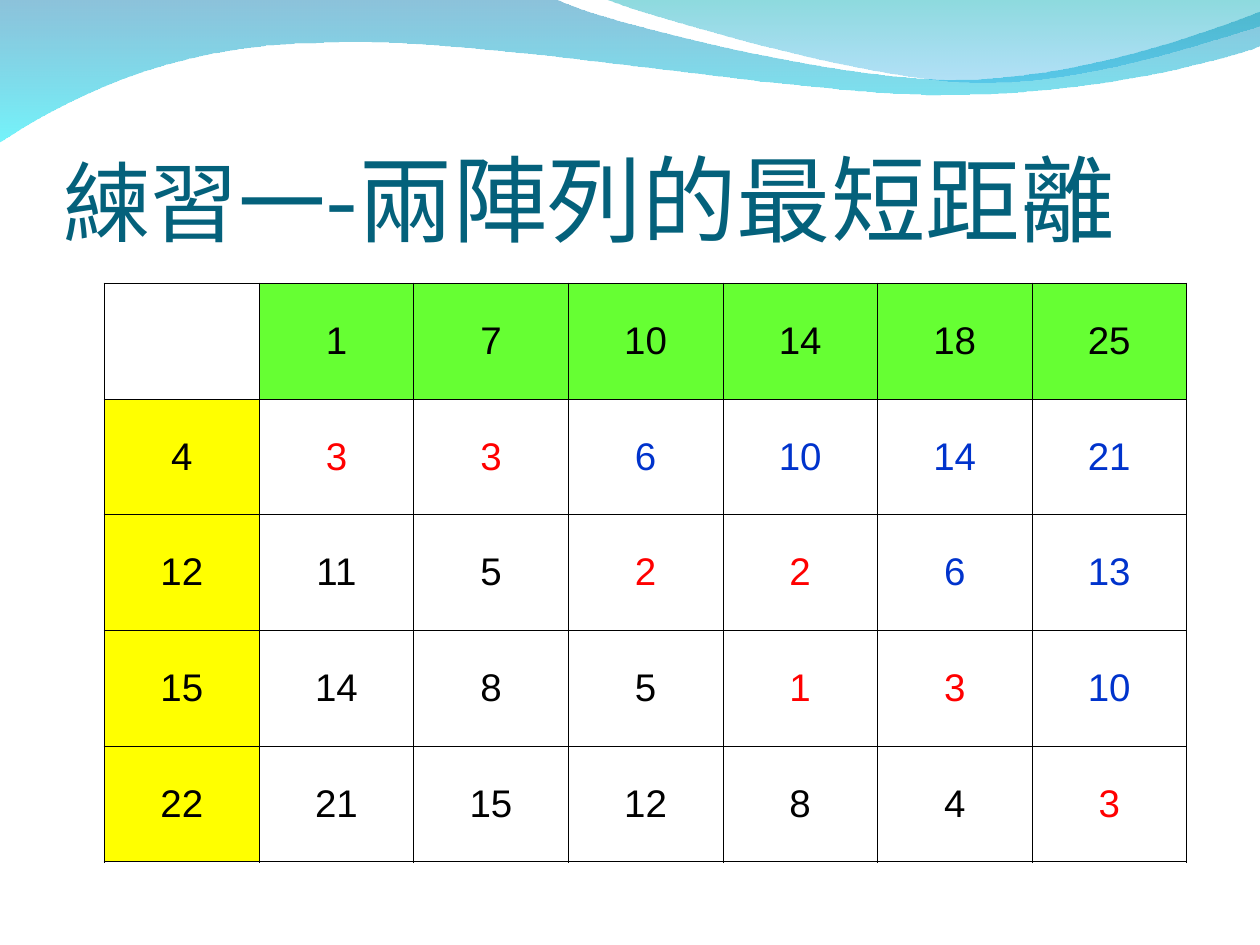
from pptx import Presentation
from pptx.dml.color import RGBColor
from pptx.enum.lang import MSO_LANGUAGE_ID
from pptx.enum.text import MSO_ANCHOR, MSO_AUTO_SIZE, PP_ALIGN
from pptx.oxml.ns import qn
from pptx.util import Inches, Pt
from lxml import etree

LEFT, CENTER = PP_ALIGN.LEFT, PP_ALIGN.CENTER
MIDDLE, BOTTOM = MSO_ANCHOR.MIDDLE, MSO_ANCHOR.BOTTOM
FIXED = MSO_AUTO_SIZE.NONE
TAIWAN = MSO_LANGUAGE_ID.TRADITIONAL_CHINESE

BLACK = RGBColor(0, 0, 0)
RED = RGBColor(0xFF, 0, 0)
BLUE = RGBColor(0, 0x33, 0xCC)
GREEN = RGBColor(0x66, 0xFF, 0x33)
YELLOW = RGBColor(0xFF, 0xFF, 0)
TEAL = RGBColor(0x04, 0x61, 0x7B)
DEEP = RGBColor(0, 0x79, 0xAF)
CYAN = RGBColor(0, 0xEB, 0xF8)
SEA = RGBColor(0, 0xAD, 0xB6)
SKY = RGBColor(0, 0x9B, 0xE5)

STYLE = {
    "title": {"name": "Noto Sans CJK SC", "bold": False,
              "language_id": TAIWAN},
    "cell": {"name": "Arial", "size": Pt(22), "bold": False},
    "thin": Pt(0.45),
    "thick": Pt(1.08),
}

# A pair is a line end; six numbers are a cubic curve.
BACK = [(0, -0.01), (4.4, -0.01),
        (4.76, 0.17, 6.64, 0.63, 7.58, 0.63),
        (8.53, 0.63, 9.58, 0.26, 10, 0.09), (10.01, 0.36),
        (9.83, 0.44, 8.7, 0.76, 7.46, 0.75),
        (6.22, 0.75, 3.82, 0.28, 2.57, 0.34),
        (1.29, 0.35, 0.46, 0.83, -0.01, 1.13)]
FRONT = [(4.79, -0.01),
         (5.09, 0.11, 6.82, 0.62, 7.69, 0.65),
         (8.56, 0.69, 9.61, 0.32, 10, 0.21), (10, 0)]

COLS = [1, 7, 10, 14, 18, 25]
# Row value: first and last red column; blue follows, black precedes.
ROWS = {4: (0, 1), 12: (2, 3), 15: (3, 4), 22: (5, 5)}


def put(item, vals):
    for key, val in vals.items():
        setattr(item, key, val)


def bend(shape, segs):
    """Merge each three lines that stand for a curve into one cubic."""
    lines = shape.element.iter(qn("a:lnTo"))
    lines = iter(list(lines))
    for seg in segs:
        group = [next(lines) for _ in range(len(seg) // 2)]
        if len(group) == 3:
            curve = etree.Element(qn("a:cubicBezTo"))
            group[0].addprevious(curve)
            for line in group:
                curve.append(line[0])
                line.getparent().remove(line)


class Deck:
    def __init__(self, style):
        self.style = style
        self.prs = Presentation()
        put(self.prs, {"slide_width": Inches(10), "slide_height": Inches(7.5)})
        self.slide = self.prs.slides.add_slide(self.prs.slide_layouts[5])

    def wave(self, segs, stops):
        pts = [(Inches(s[i]), Inches(s[i + 1]))
               for s in segs for i in range(0, len(s), 2)]
        pen = self.slide.shapes.build_freeform(*pts[0])
        pen.add_line_segments(pts[1:], close=True)
        shape = pen.convert_to_shape()
        bend(shape, segs[1:])
        shape.shadow.inherit = False
        shape.line.fill.background()
        shape.fill.gradient()
        shape.fill.gradient_angle = 270
        for stop, (color, _) in zip(shape.fill.gradient_stops, stops):
            stop.color.rgb = color
        marks = shape.element.iter(qn("a:srgbClr"))
        for mark, (_, alpha) in zip(marks, stops):
            etree.SubElement(mark, qn("a:alpha"), val=str(alpha * 1000))

    def title(self, box, parts):
        shape = self.slide.shapes.title
        left, top, width, height = map(Inches, box)
        put(shape, {"left": left, "top": top, "width": width, "height": height})
        put(shape.text_frame, {
            "word_wrap": True, "auto_size": FIXED, "vertical_anchor": BOTTOM,
            "margin_left": 0, "margin_right": 0,
            "margin_top": Inches(0.05), "margin_bottom": 0})
        para = shape.text_frame.paragraphs[0]
        para.alignment = LEFT
        for text, size in parts:
            run = para.add_run()
            run.text = text
            put(run.font, self.style["title"] | {"size": Pt(size)})
            run.font.color.rgb = TEAL
            etree.SubElement(run.font._element, qn("a:ea"),
                             typeface=self.style["title"]["name"])

    def edges(self, cell, outer):
        """Draw four borders, thick on the sides named in outer."""
        props = cell._tc.get_or_add_tcPr()
        for i, side in enumerate("LRTB"):
            width = self.style["thick" if side in outer else "thin"]
            line = etree.Element(qn("a:ln" + side), w=str(width))
            fill = etree.SubElement(line, qn("a:solidFill"))
            etree.SubElement(fill, qn("a:srgbClr"), val=str(BLACK))
            props.insert(i, line)

    def cell(self, cell, text, color, fill):
        cell.vertical_anchor = MIDDLE
        if fill:
            cell.fill.solid()
            cell.fill.fore_color.rgb = fill
        else:
            cell.fill.background()
        if text:
            para = cell.text_frame.paragraphs[0]
            put(para, {"alignment": CENTER, "space_before": Pt(5.5)})
            run = para.add_run()
            run.text = text
            put(run.font, self.style["cell"])
            run.font.color.rgb = color

    def table(self, box, grid):
        high, wide = len(grid), len(grid[0])
        table = self.slide.shapes.add_table(
            high, wide, *map(Inches, box)).table
        put(table, {"first_row": False, "horz_banding": False})
        for r, row in enumerate(grid):
            for c, look in enumerate(row):
                cell = table.cell(r, c)
                self.cell(cell, *look)
                sides = {"L": c == 0, "R": c == wide - 1,
                         "T": r == 0, "B": r == high - 1}
                self.edges(cell, [s for s in sides if sides[s]])


def gaps():
    """Build the grid of distances between the two arrays."""
    grid = [[("", BLACK, None)] + [(str(n), BLACK, GREEN) for n in COLS]]
    for num, (first, last) in ROWS.items():
        row = [(str(num), BLACK, YELLOW)]
        for i, col in enumerate(COLS):
            color = BLACK if i < first else RED if i <= last else BLUE
            row.append((str(abs(num - col)), color, None))
        grid.append(row)
    return grid


def main():
    deck = Deck(STYLE)
    deck.wave(BACK, [(DEEP, 45), (CYAN, 55)])
    deck.wave(FRONT, [(SEA, 45), (SKY, 30)])
    deck.title((0.5, 0.77, 9, 1.25), [("練習一", 50), ("-兩陣列的最短距離", 54)])
    deck.table((0.83, 2.25, 8.59, 4.59), gaps())
    deck.prs.save("out.pptx")


if __name__ == "__main__":
    main()
